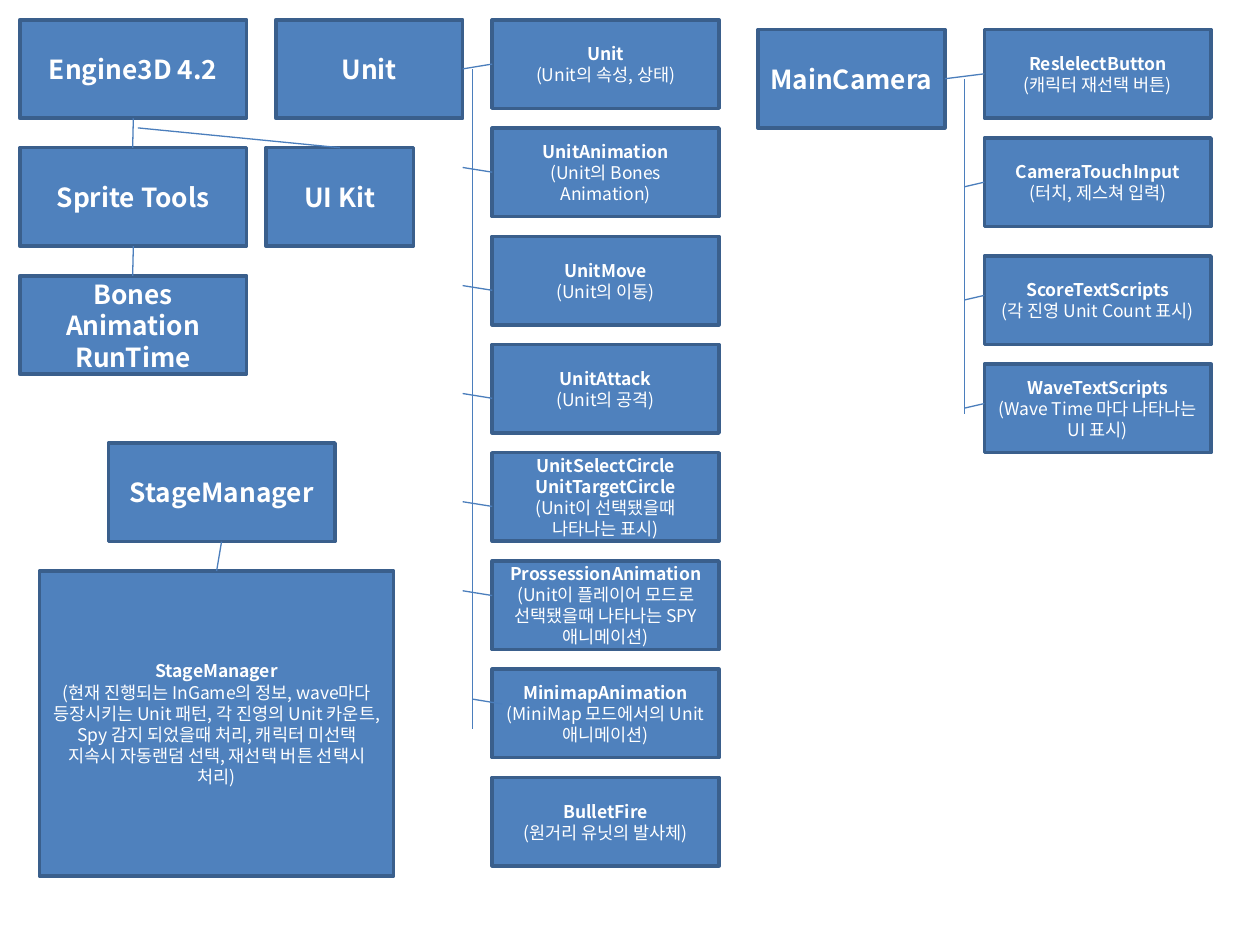
"""Build the class overview of a game project as linked boxes."""
from lxml.etree import SubElement
from pptx import Presentation
from pptx.dml.color import RGBColor
from pptx.enum.shapes import MSO_CONNECTOR as Link, MSO_SHAPE as Shape
from pptx.enum.text import MSO_ANCHOR as Anchor, PP_ALIGN as Align
from pptx.oxml.ns import qn
from pptx.util import Pt

COLORS = {"box": "4F81BD", "border": "3A5F8C", "link": "4B7EBC", "text": "FFFFFF"}
FONT = "Noto Sans CJK KR"

deck = Presentation()
deck.slide_width, deck.slide_height = Pt(720), Pt(540)
slide = deck.slides.add_slide(deck.slide_layouts[6])


def add_box(left, top, width, height, titles, note="", size=15):
    box = slide.shapes.add_shape(Shape.RECTANGLE, Pt(left), Pt(top), Pt(width), Pt(height))
    box.shadow.inherit = False
    box.fill.solid()
    box.fill.fore_color.rgb = RGBColor.from_string(COLORS["box"])
    box.line.color.rgb = RGBColor.from_string(COLORS["border"])
    box.line.width = Pt(2)
    frame = box.text_frame
    frame.word_wrap = True
    frame.vertical_anchor = Anchor.MIDDLE
    frame.text = "\n".join(titles + [note] if note else titles)
    for index, paragraph in enumerate(frame.paragraphs):
        paragraph.alignment = Align.CENTER
        font = paragraph.font
        font.name, font.size, font.bold = FONT, Pt(size), index < len(titles)
        font.color.rgb = RGBColor.from_string(COLORS["text"])
        SubElement(font._element, qn("a:ea"), typeface=FONT)


def add_link(x1, y1, x2, y2):
    link = slide.shapes.add_connector(Link.STRAIGHT, Pt(x1), Pt(y1), Pt(x2), Pt(y2))
    link.line.color.rgb = RGBColor.from_string(COLORS["link"])
    link.line.width = Pt(0.75)
    SubElement(link._element.spPr, qn("a:effectLst"))


headings = [
    (11.3, 11.3, 129.6, ["Engine3D 4.2"]),
    (11.3, 84.4, 129.6, ["Sprite Tools"]),
    (11.3, 157.6, 129.6, ["Bones Animation", "RunTime"]),
    (157.6, 11.3, 106.8, ["Unit"]),
    (433.1, 16.9, 106.8, ["MainCamera"]),
    (61.9, 253.2, 129.6, ["StageManager"]),
    (151.9, 84.4, 84.4, ["UI Kit"]),
]
for left, top, width, titles in headings:
    add_box(left, top, width, 56.3, titles)

unit_scripts = [
    (["Unit"], "(Unit의 속성, 상태)"),
    (["UnitAnimation"], "(Unit의 Bones Animation)"),
    (["UnitMove"], "(Unit의 이동)"),
    (["UnitAttack"], "(Unit의 공격)"),
    (["UnitSelectCircle", "UnitTargetCircle"], "(Unit이 선택됐을때 나타나는 표시)"),
    (["ProssessionAnimation"], "(Unit이 플레이어 모드로 선택됐을때 나타나는 SPY 애니메이션)"),
    (["MinimapAnimation"], "(MiniMap 모드에서의 Unit 애니메이션)"),
    (["BulletFire"], "(원거리 유닛의 발사체)"),
]
for row, (titles, note) in enumerate(unit_scripts):
    add_box(281.3, 11.3 + 61.85 * row, 129.6, 50.6, titles, note, 10)

camera_scripts = [
    (16.9, "ReslelectButton", "(캐릭터 재선택 버튼)"),
    (78.8, "CameraTouchInput", "(터치, 제스쳐 입력)"),
    (146.3, "ScoreTextScripts", "(각 진영 Unit Count 표시)"),
    (208.1, "WaveTextScripts", "(Wave Time 마다 나타나는 UI 표시)"),
]
for top, title, note in camera_scripts:
    add_box(562.5, top, 129.6, 50.6, [title], note, 10)

add_box(22.5, 326.3, 202.5, 174.4, ["StageManager"],
        "(현재 진행되는 InGame의 정보, wave마다 등장시키는 Unit 패턴, 각 진영의 Unit 카운트, "
        "Spy 감지 되었을때 처리, 캐릭터 미선택 지속시 자동랜덤 선택, 재선택 버튼 선택시 처리)", 10)

for y in (67.6, 140.7):
    add_link(76.2, y, 75.8, y + 16.9)
add_link(78.8, 73.1, 194.2, 84.4)
add_link(126.6, 309.5, 123.8, 326.3)

add_link(264.4, 39.4, 281.3, 36.6)
add_link(270, 39.4, 270, 416.3)
for y in (98.4, 165.9, 227.6, 289.4, 340.3):
    add_link(281.3, y, 264.4, y - 2.7)
add_link(286.9, 402.3, 270, 399.5)

add_link(562.5, 42.2, 540, 45)
add_link(551.3, 45.3, 551.3, 236.3)
for y in (104.1, 168.8, 230.6):
    add_link(562.5, y, 551.3, y + 2.6)

deck.save("out.pptx")
